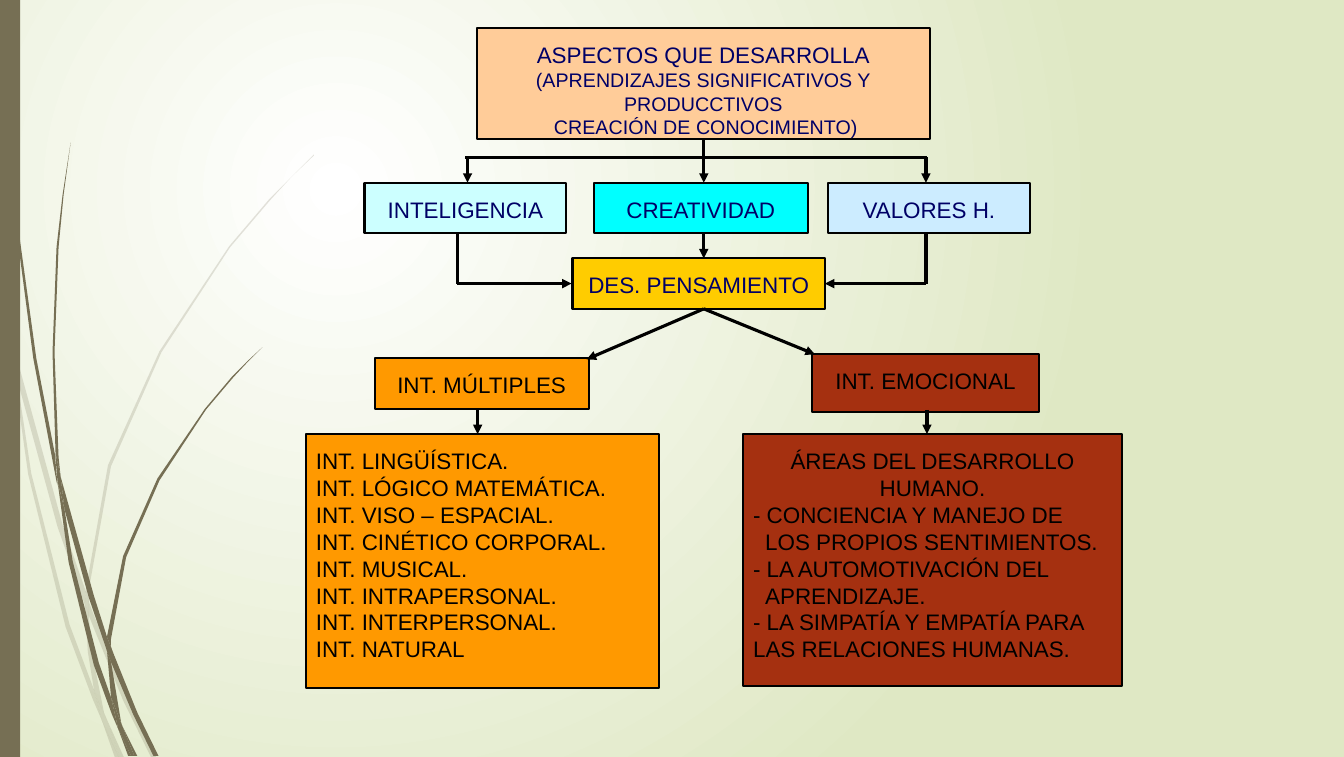
from lxml import etree
from pptx import Presentation
from pptx import util as u
from pptx.dml.color import RGBColor
from pptx.enum import shapes, text
from pptx.oxml import ns

PX = 9144  # 100 px to the inch
OLIVE, NAVY, BLACK = "766F54", "000066", "000000"
ORANGE, RUST = "FF9900", "A53010"
CENTER, LEFT = text.PP_ALIGN.CENTER, text.PP_ALIGN.LEFT


def rgb(color):
    return RGBColor.from_string(color)


def add_text(frame, words, size=16, color=BLACK, align=CENTER, indent=0):
    """Fill the empty first paragraph of the frame, or append a new one."""
    para = frame.paragraphs[0]
    if para.runs:
        para = frame.add_paragraph()
    para.alignment = align
    if indent:
        para._p.get_or_add_pPr().set("marL", str(indent * PX))
    span = para.add_run()
    span.text = words
    span.font.name = "Arial"
    span.font.size = u.Pt(size)
    span.font.color.rgb = rgb(color)


deck = Presentation()
deck.slide_width, deck.slide_height = 1331 * PX, 750 * PX
page = deck.slides.add_slide(deck.slide_layouts[6])

# Background: white glow fading to pale green
backdrop = page.background.fill
backdrop.gradient()
for stop, color in zip(backdrop.gradient_stops, ("FFFFFF", "DFE8C4")):
    stop.color.rgb = rgb(color)
gradient = page.element.find(".//" + ns.qn("a:gradFill"))
gradient.remove(gradient.find(ns.qn("a:lin")))
glow = etree.SubElement(gradient, ns.qn("a:path"), path="circle")
etree.SubElement(glow, ns.qn("a:fillToRect"),
                 l="50000", t="50000", r="100000", b="100000")

# Grass: a pale tuft behind a solid one, each made of narrow slivers
pale_tuft = [
    [(11, 350), (8, 322), (0, 282), (0, 299), (10, 344)],
    [(57, 522), (84, 599), (85, 586), (62, 520), (14, 345), (17, 376)],
    [(92, 607), (88, 596), (88, 610), (122, 694), (150, 751), (155, 751),
     (127, 692)],
    [(119, 751), (123, 751), (105, 711)],
    [(93, 683), (69, 619), (31, 469), (17, 376), (11, 350), (28, 470),
     (65, 621), (92, 693), (101, 714), (99, 707)],
    [(84, 599), (87, 646), (93, 683), (96, 692), (105, 711), (103, 706),
     (91, 646), (88, 610), (88, 608)],
    [(88, 584), (110, 462), (160, 349), (228, 245), (268, 198), (289, 175),
     (311, 154), (311, 153), (289, 175), (267, 197), (227, 244), (158, 348),
     (107, 461), (85, 584), (85, 586), (88, 596)],
    [(101, 714), (114, 751), (118, 751)],
    [(88, 608), (88, 610), (88, 596), (85, 586), (84, 599)],
    [(96, 692), (93, 683), (99, 707), (101, 714), (118, 751), (119, 751),
     (105, 711)],
]
solid_tuft = [
    [(7, 110), (17, 233), (33, 355), (56, 477), (57, 481), (55, 457),
     (55, 453), (36, 355), (19, 232), (8, 109), (5, 48), (3, 0), (3, 48)],
    [(88, 592), (106, 645), (106, 633), (106, 631), (93, 590), (60, 472),
     (64, 505)],
    [(113, 649), (110, 641), (110, 656), (132, 708), (152, 749), (157, 749),
     (136, 706)],
    [(110, 691), (98, 657), (72, 556), (64, 505), (57, 477), (68, 557),
     (93, 659), (111, 708), (117, 722), (116, 717)],
    [(60, 472), (58, 453), (54, 349), (58, 245), (63, 193), (70, 141),
     (62, 193), (56, 245), (52, 349), (55, 449)],
    [(133, 749), (136, 749), (121, 719)],
    [(57, 477), (64, 505), (60, 472), (55, 449), (55, 453)],
    [(110, 633), (125, 552), (158, 476), (204, 406), (231, 374), (245, 359),
     (260, 344), (245, 358), (230, 373), (203, 405), (156, 474), (122, 551),
     (106, 631), (110, 641)],
    [(117, 722), (127, 749), (130, 749)],
    [(106, 645), (110, 691), (116, 706), (121, 719), (120, 716), (110, 656),
     (108, 651)],
    [(106, 645), (108, 651), (110, 656), (110, 641), (106, 631), (106, 633)],
    [(116, 706), (110, 691), (116, 717), (117, 722), (130, 749), (133, 749),
     (121, 719)],
]
for opacity, tuft in ((20, pale_tuft), (100, solid_tuft)):
    group = page.shapes.add_group_shape()
    for start, *rest in tuft:
        builder = group.shapes.build_freeform(*start, scale=PX)
        builder.add_line_segments(rest, close=True)
        sliver = builder.convert_to_shape()
        sliver.shadow.inherit = False
        sliver.fill.solid()
        sliver.fill.fore_color.rgb = rgb(OLIVE)
        sliver.line.fill.background()
        if opacity < 100:
            tint = sliver._element.spPr.find(".//" + ns.qn("a:srgbClr"))
            etree.SubElement(tint, ns.qn("a:alpha"), val=str(opacity * 1000))

# Boxes: place, fill, paragraphs with their format
title = {"color": NAVY}
subtitle = {"color": NAVY, "size": 14}
item = {"align": LEFT}
hanging = {"align": LEFT, "indent": 12}
intelligences = ["LINGÜÍSTICA.", "LÓGICO MATEMÁTICA.", "VISO – ESPACIAL.",
                 "CINÉTICO CORPORAL.", "MUSICAL.", "INTRAPERSONAL.",
                 "INTERPERSONAL.", "NATURAL"]
boxes = [
    ((0, 0, 20, 750), OLIVE, []),
    ((472, 28, 449, 110), "FFCC99", [
        ("ASPECTOS QUE DESARROLLA", title),
        ("(APRENDIZAJES SIGNIFICATIVOS Y PRODUCCTIVOS", subtitle),
        ("CREACIÓN DE CONOCIMIENTO)", {**subtitle, "indent": 5})]),
    ((361, 181, 200, 50), "CCFFFF", [("INTELIGENCIA", title)]),
    ((588, 181, 212, 50), "00FFFF", [("CREATIVIDAD", title)]),
    ((820, 181, 200, 50), "CCECFF", [("VALORES H.", title)]),
    ((371, 355, 212, 50), ORANGE, [("INT. MÚLTIPLES", {})]),
    ((303, 430, 350, 252), ORANGE,
     [(f"INT. {kind}", item) for kind in intelligences]),
    ((736, 430, 375, 250), RUST, [
        ("ÁREAS DEL DESARROLLO HUMANO.", {}),
        ("- CONCIENCIA Y MANEJO DE", item),
        ("LOS PROPIOS SENTIMIENTOS.", hanging),
        ("- LA AUTOMOTIVACIÓN DEL", item),
        ("APRENDIZAJE.", hanging),
        ("- LA SIMPATÍA Y EMPATÍA PARA", item),
        ("LAS RELACIONES HUMANAS.", item)]),
    ((567, 256, 250, 50), "FFCC00", [("DES. PENSAMIENTO", title)]),
    ((804, 351, 225, 57), RUST, [("INT. EMOCIONAL", {})]),
]
for place, fill, lines in boxes:
    box = page.shapes.add_shape(shapes.MSO_SHAPE.RECTANGLE,
                                *(n * PX for n in place))
    box.shadow.inherit = False
    box.fill.solid()
    box.fill.fore_color.rgb = rgb(fill)
    if not lines:
        box.line.fill.background()
        continue
    box.line.color.rgb = rgb(BLACK)
    box.line.width = u.Pt(1.5)
    frame = box.text_frame
    frame.word_wrap = True
    frame.vertical_anchor = text.MSO_ANCHOR.TOP
    frame.margin_top = 13 * PX
    for words, style in lines:
        add_text(frame, words, **style)

# Connectors: from x, y to x, y, and whether they end in an arrowhead
links = [
    (461, 156, 918, 156, False), (463, 156, 463, 181, True),
    (917, 156, 917, 181, True), (697, 139, 697, 181, True),
    (697, 306, 807, 351, True), (697, 306, 581, 356, True),
    (453, 281, 566, 281, True), (917, 281, 817, 281, True),
    (453, 231, 453, 281, False), (917, 231, 917, 281, False),
    (473, 406, 473, 430, True), (918, 406, 918, 430, True),
    (697, 232, 697, 256, True),
]
for *ends, arrow in links:
    link = page.shapes.add_connector(shapes.MSO_CONNECTOR.STRAIGHT,
                                     *(n * PX for n in ends))
    link.line.color.rgb = rgb(BLACK)
    link.line.width = u.Pt(2.25)
    if arrow:
        etree.SubElement(link.line._get_or_add_ln(), ns.qn("a:tailEnd"),
                         type="triangle")
    etree.SubElement(link._element.spPr, ns.qn("a:effectLst"))

deck.save("out.pptx")
